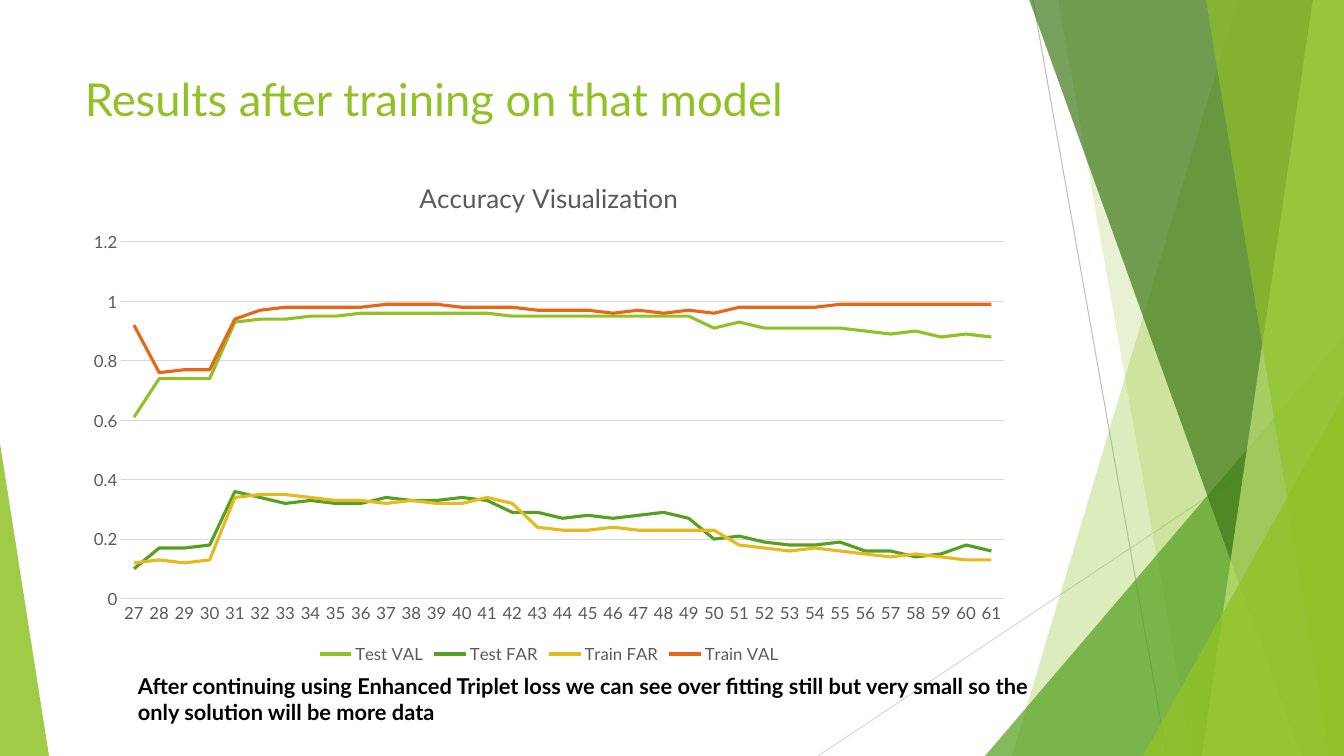
from dataclasses import dataclass

from lxml.etree import SubElement
from pptx import Presentation
from pptx.chart.data import CategoryChartData
from pptx.dml.color import RGBColor
from pptx.enum.chart import XL_CHART_TYPE, XL_LEGEND_POSITION, XL_TICK_MARK
from pptx.enum.shapes import MSO_CONNECTOR, MSO_SHAPE
from pptx.enum.text import MSO_ANCHOR
from pptx.oxml.ns import qn
from pptx.util import Pt

EMU_PER_PX = 914400 / 100.8
SLIDE_W, SLIDE_H = 1344, 756


@dataclass(frozen=True)
class Theme:
    font: str = "Lato"
    lime: str = "90C226"
    green: str = "54A021"
    forest: str = "3F7819"
    pale_lime: str = "C0E474"
    gold: str = "E6B91E"
    orange: str = "E76618"
    black: str = "000000"
    label: str = "595959"
    rule: str = "D9D9D9"
    dark_rule: str = "BFBFBF"
    heading_size: float = 32.4
    note_size: float = 15.6
    chart_title_size: float = 18.6
    chart_size: float = 12
    rule_width: float = 0.75
    series_width: float = 2.25


THEME = Theme()

EPOCHS = range(27, 62)
ACCURACY = {
    "Test VAL": (THEME.lime, [
        0.61, 0.74, 0.74, 0.74, 0.93, 0.94, 0.94, 0.95, 0.95, 0.96, 0.96, 0.96,
        0.96, 0.96, 0.96, 0.95, 0.95, 0.95, 0.95, 0.95, 0.95, 0.95, 0.95, 0.91,
        0.93, 0.91, 0.91, 0.91, 0.91, 0.9, 0.89, 0.9, 0.88, 0.89, 0.88]),
    "Test FAR": (THEME.green, [
        0.1, 0.17, 0.17, 0.18, 0.36, 0.34, 0.32, 0.33, 0.32, 0.32, 0.34, 0.33,
        0.33, 0.34, 0.33, 0.29, 0.29, 0.27, 0.28, 0.27, 0.28, 0.29, 0.27, 0.2,
        0.21, 0.19, 0.18, 0.18, 0.19, 0.16, 0.16, 0.14, 0.15, 0.18, 0.16]),
    "Train FAR": (THEME.gold, [
        0.12, 0.13, 0.12, 0.13, 0.34, 0.35, 0.35, 0.34, 0.33, 0.33, 0.32, 0.33,
        0.32, 0.32, 0.34, 0.32, 0.24, 0.23, 0.23, 0.24, 0.23, 0.23, 0.23, 0.23,
        0.18, 0.17, 0.16, 0.17, 0.16, 0.15, 0.14, 0.15, 0.14, 0.13, 0.13]),
    "Train VAL": (THEME.orange, [
        0.92, 0.76, 0.77, 0.77, 0.94, 0.97, 0.98, 0.98, 0.98, 0.98, 0.99, 0.99,
        0.99, 0.98, 0.98, 0.98, 0.97, 0.97, 0.97, 0.96, 0.97, 0.96, 0.97, 0.96,
        0.98, 0.98, 0.98, 0.98, 0.99, 0.99, 0.99, 0.99, 0.99, 0.99, 0.99]),
}

# top-left x, bottom-left x, colour, opacity in percent
RIBBONS_BEHIND = [(1238, 1012, THEME.lime, 30), (1058, 1192, THEME.lime, 20)]
RIBBONS_FRONT = [
    (1029, 1301, THEME.forest, 70),
    (1313, 1202, THEME.pale_lime, 70),
    (1206, 1329, THEME.lime, 65),
]


def px(*lengths):
    return [round(length * EMU_PER_PX) for length in lengths]


def set_all(target, values):
    for name, value in values.items():
        setattr(target, name, value)


def style_font(font, size, colour, bold=False):
    set_all(font, {"name": THEME.font, "size": Pt(size), "bold": bold})
    font.color.rgb = RGBColor.from_string(colour)


def style_line(line, colour, width):
    line.color.rgb = RGBColor.from_string(colour)
    line.width = Pt(width)


def tint(shape, colour, opacity):
    """Give a shape a see-through fill, no outline and no shadow."""
    shape.shadow.inherit = False
    shape.line.fill.background()
    shape.fill.solid()
    shape.fill.fore_color.rgb = RGBColor.from_string(colour)
    fill_colour = shape._element.spPr.find(f"{qn('a:solidFill')}/{qn('a:srgbClr')}")
    SubElement(fill_colour, qn("a:alpha"), val=str(opacity * 1000))


def add_ribbon(slide, top_x, bottom_x, colour, opacity):
    """Add a slanted band that runs to the right edge of the slide."""
    outline = slide.shapes.build_freeform(top_x, -1, scale=EMU_PER_PX)
    outline.add_line_segments(
        [(SLIDE_W, -1), (SLIDE_W, SLIDE_H), (bottom_x, SLIDE_H)], close=True)
    tint(outline.convert_to_shape(), colour, opacity)


def add_corner(slide, left, top, width, apex, colour, opacity):
    """Add a triangle standing on the bottom edge; apex 0 is left, 1 is right."""
    corner = slide.shapes.add_shape(
        MSO_SHAPE.ISOSCELES_TRIANGLE, *px(left, top, width, SLIDE_H - top))
    corner.adjustments[0] = apex
    tint(corner, colour, opacity)


def add_hairline(slide, ends, colour):
    hairline = slide.shapes.add_connector(MSO_CONNECTOR.STRAIGHT, *px(*ends))
    style_line(hairline.line, colour, THEME.rule_width)
    SubElement(hairline._element.spPr, qn("a:effectLst"))


def add_text(slide, box, wording, anchor, size, colour, bold=False):
    frame = slide.shapes.add_textbox(*px(*box)).text_frame
    set_all(frame, {"word_wrap": True, "vertical_anchor": anchor})
    run = frame.paragraphs[0].add_run()
    run.text = wording
    style_font(run.font, size, colour, bold)


def style_axis(axis):
    set_all(axis, {"major_tick_mark": XL_TICK_MARK.NONE,
                   "minor_tick_mark": XL_TICK_MARK.NONE})
    style_font(axis.tick_labels.font, THEME.chart_size, THEME.label)


def add_accuracy_chart(slide, box):
    results = CategoryChartData()
    results.categories = [str(epoch) for epoch in EPOCHS]
    for name, (_, values) in ACCURACY.items():
        results.add_series(name, values)
    chart = slide.shapes.add_chart(XL_CHART_TYPE.LINE, *px(*box), results).chart
    style_font(chart.font, THEME.chart_size, THEME.label)

    chart.has_title = True
    heading = chart.chart_title.text_frame.paragraphs[0].add_run()
    heading.text = "Accuracy Visualization"
    style_font(heading.font, THEME.chart_title_size, THEME.label)

    chart.has_legend = True
    set_all(chart.legend, {"position": XL_LEGEND_POSITION.BOTTOM,
                           "include_in_layout": False})
    style_font(chart.legend.font, THEME.chart_size, THEME.label)

    epochs, scores = chart.category_axis, chart.value_axis
    for axis in (epochs, scores):
        style_axis(axis)
    style_line(epochs.format.line, THEME.rule, THEME.rule_width)
    set_all(scores, {"minimum_scale": 0, "maximum_scale": 1.2, "major_unit": 0.2})
    scores.format.line.fill.background()
    style_line(scores.major_gridlines.format.line, THEME.rule, THEME.rule_width)

    plot = chart.plots[0]
    plot.vary_by_categories = False
    for series, (colour, _) in zip(plot.series, ACCURACY.values()):
        series.smooth = False
        style_line(series.format.line, colour, THEME.series_width)


def add_backdrop(slide):
    add_hairline(slide, (1033, 0, 1167, SLIDE_H), THEME.dark_rule)
    add_hairline(slide, (SLIDE_W, 406, 818, SLIDE_H), THEME.rule)
    for ribbon in RIBBONS_BEHIND:
        add_ribbon(slide, *ribbon)
    add_corner(slide, 985, 336, 359, 1, THEME.green, 72)
    for ribbon in RIBBONS_FRONT:
        add_ribbon(slide, *ribbon)
    add_corner(slide, 1143, 396, 201, 1, THEME.lime, 80)
    add_corner(slide, 0, 443, 49, 0, THEME.lime, 85)


def main():
    deck = Presentation()
    deck.slide_width, deck.slide_height = px(SLIDE_W, SLIDE_H)
    slide = deck.slides.add_slide(deck.slide_layouts[6])
    add_backdrop(slide)
    add_text(slide, (75, 68, 948, 61), "Results after training on that model",
             MSO_ANCHOR.MIDDLE, THEME.heading_size, THEME.lime)
    add_accuracy_chart(slide, (75, 159, 948, 509))
    add_text(slide, (128, 668, 948, 88),
             "After continuing using Enhanced Triplet loss we can see over fitting "
             "still but very small so the only solution will be more data",
             MSO_ANCHOR.TOP, THEME.note_size, THEME.black, bold=True)
    deck.save("out.pptx")


if __name__ == "__main__":
    main()
